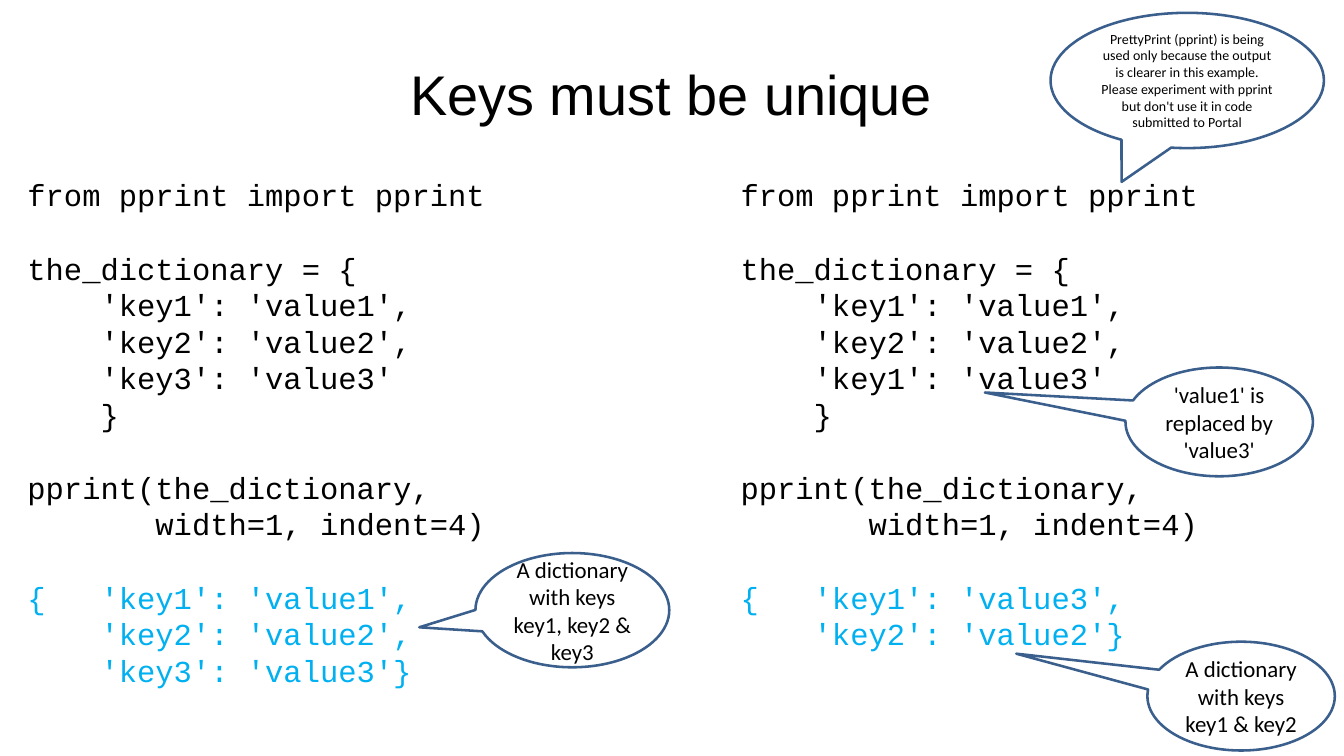
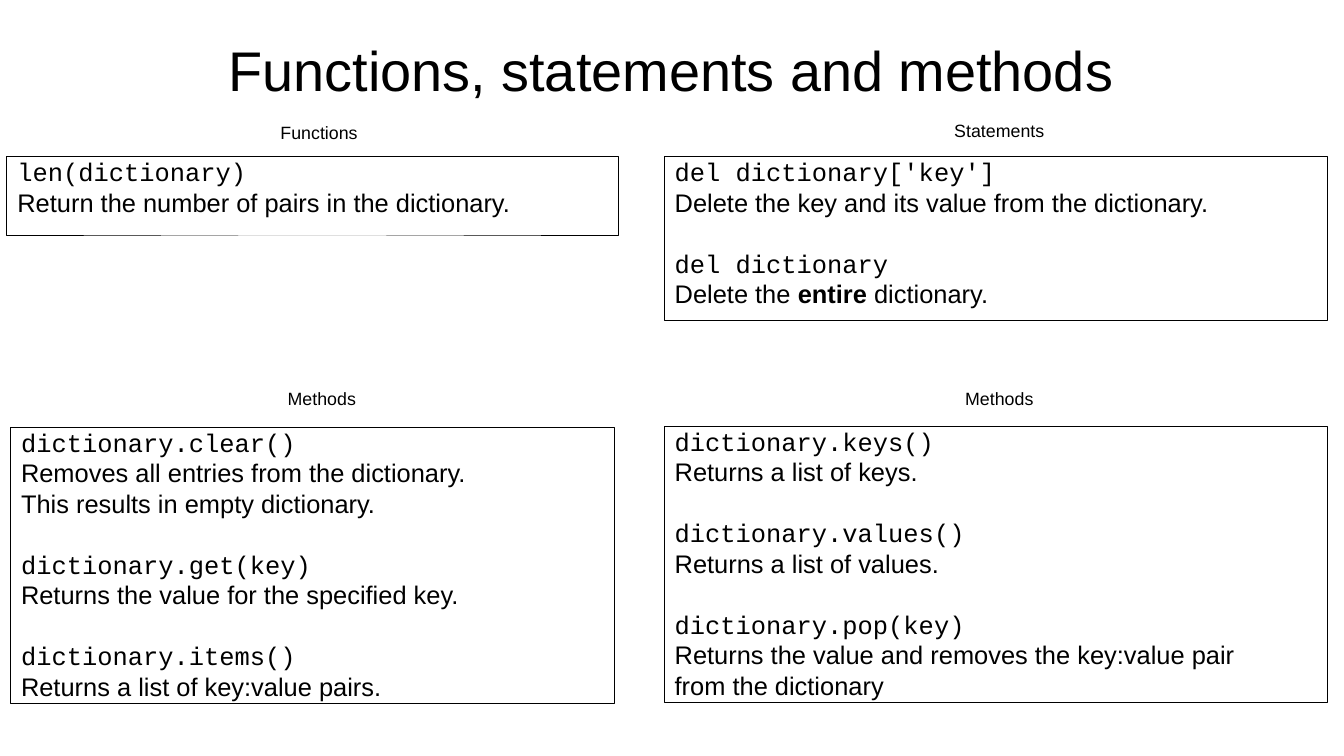
from pptx import Presentation
from pptx.dml.color import RGBColor
from pptx.enum.shapes import MSO_SHAPE
from pptx.enum.text import MSO_ANCHOR, PP_ALIGN
from pptx.util import Pt

PX = 9144
PAGE_WIDTH, PAGE_HEIGHT = 1470, 827
BLACK = RGBColor(0x00, 0x00, 0x00)
OUTPUT_BLUE = RGBColor(0x00, 0xB0, 0xF0)
CALLOUT_BLUE = RGBColor(0x3A, 0x5F, 0x8C)
RECTANGLE = MSO_SHAPE.RECTANGLE
BUBBLE = MSO_SHAPE.OVAL_CALLOUT
TOP, MIDDLE = MSO_ANCHOR.TOP, MSO_ANCHOR.MIDDLE
LEFT, CENTER = PP_ALIGN.LEFT, PP_ALIGN.CENTER
SANS, MONO, CALLOUT_FONT = "Arial", "Courier New", "Calibri"
TEXT_INDENT = 12
LINE_FACTOR = 1.2

CODE = """from pprint import pprint

the_dictionary = {{
    'key1': 'value1',
    'key2': 'value2',
    '{last_key}': 'value3'
    }}

pprint(the_dictionary,
       width=1, indent=4)"""

LISTINGS = [
    ((18, 193, 693, 574), "key3",
     ["{   'key1': 'value1',", "    'key2': 'value2',", "    'key3': 'value3'}"]),
    ((798, 193, 630, 575), "key1",
     ["{   'key1': 'value3',", "    'key2': 'value2'}"]),
]

CALLOUTS = [
    ((520, 605, 212, 125), (-0.79, 0.15), 18,
     ["A dictionary with keys", "key1, key2 & key3"]),
    ((1255, 702, 205, 119), (-1.2, -0.39), 18,
     ["A dictionary with keys", "key1 & key2"]),
    ((1149, 14, 299, 148), (-0.24, 0.75), 11,
     ["PrettyPrint (pprint) is being used only because the output is clearer in this example.",
      "Please experiment with pprint but don't use it in code submitted to Portal"]),
    ((1231, 402, 205, 119), (-1.25, -0.27), 18,
     ["'value1' is replaced by 'value3'"]),
]

PANELS = [
    ("Functions", (215, 130), (7, 171, 669, 86), [
        ("len(dictionary)", [["Return the number of pairs in the dictionary."]]),
    ]),
    ("Statements", (959, 128), (726, 171, 726, 179), [
        ("del dictionary['key']", [["Delete the key and its value from the dictionary."]]),
        ("del dictionary", [["Delete the ", ("entire", {"bold": True}), " dictionary."]]),
    ]),
    ("Methods", (218, 421), (11, 467, 661, 302), [
        ("dictionary.clear()", [["Removes all entries from the dictionary."],
                                ["This results in empty dictionary."]]),
        ("dictionary.get(key)", [["Returns the value for the specified key."]]),
        ("dictionary.items()", [["Returns a list of key:value pairs."]]),
    ]),
    ("Methods", (959, 421), (726, 466, 726, 302), [
        ("dictionary.keys()", [["Returns a list of keys."]]),
        ("dictionary.values()", [["Returns a list of values."]]),
        ("dictionary.pop(key)", [["Returns the value and removes the key:value pair", "\n",
                                  "from the dictionary"]]),
    ]),
]


def emu(lengths):
    return [length * PX for length in lengths]


def set_attributes(target, values):
    for name, value in values.items():
        setattr(target, name, value)


def prepare_frame(shape, anchor, insets=(0, 0)):
    frame = shape.text_frame
    across, down = emu(insets)
    set_attributes(frame, {
        "word_wrap": True, "vertical_anchor": anchor,
        "margin_left": across, "margin_right": across,
        "margin_top": down, "margin_bottom": down,
    })
    return frame


def add_para(frame, first, spans, font, size, align=LEFT, color=BLACK):
    para = frame.paragraphs[0] if first else frame.add_paragraph()
    para.alignment = align
    for item in spans:
        if item == "\n":
            para.add_line_break()
            continue
        text, extra = (item, {}) if isinstance(item, str) else item
        span = para.add_run()
        span.text = text
        set_attributes(span.font, {"name": font, "size": Pt(size), "bold": False, **extra})
        span.font.color.rgb = color
    return para


def add_left_para(frame, first, spans, font, size, gap=False, color=BLACK):
    para = add_para(frame, first, spans, font, size, color=color)
    pitch = Pt(size * LINE_FACTOR)
    set_attributes(para, {"line_spacing": pitch, "space_before": pitch if gap else Pt(0)})
    para._p.get_or_add_pPr().set("marL", str(TEXT_INDENT * PX))


def add_outline(page, kind, box, color, width):
    shape = page.shapes.add_shape(kind, *emu(box))
    shape.shadow.inherit = False
    shape.fill.background()
    shape.line.color.rgb = color
    shape.line.width = Pt(width)
    return shape


def add_heading(page, box, text, size):
    frame = prepare_frame(page.shapes.add_textbox(*emu(box)), MIDDLE)
    add_para(frame, True, [text], SANS, size, CENTER)


def add_page(deck, title, title_height):
    page = deck.slides.add_slide(deck.slide_layouts[6])
    add_heading(page, (73, 33, 1323, title_height), title, 44)
    return page


def add_listing(page, box, last_key, output):
    frame = prepare_frame(page.shapes.add_textbox(*emu(box)), TOP)
    code = CODE.format(last_key=last_key).split("\n")
    lines = [(line, BLACK) for line in code + [""]] + [(line, OUTPUT_BLUE) for line in output]
    gap = False
    for index, (line, color) in enumerate(lines):
        if line:
            add_left_para(frame, index == 0, [line], MONO, 24, gap, color)
        gap = not line


def add_callout(page, box, tip, size, lines):
    bubble = add_outline(page, BUBBLE, box, CALLOUT_BLUE, 2)
    for index, offset in enumerate(tip):
        bubble.adjustments[index] = offset
    frame = prepare_frame(bubble, MIDDLE, (10, 5))
    for index, line in enumerate(lines):
        add_para(frame, index == 0, [line], CALLOUT_FONT, size, CENTER)


def add_panel(page, heading, heading_place, box, entries):
    add_heading(page, (*heading_place, 268, 30), heading, 14)
    frame = prepare_frame(add_outline(page, RECTANGLE, box, BLACK, 0.25), TOP)
    for index, (call, descriptions) in enumerate(entries):
        add_left_para(frame, index == 0, [call], MONO, 20, index > 0)
        for spans in descriptions:
            add_left_para(frame, False, spans, SANS, 20)


def build_unique_keys(deck):
    page = add_page(deck, "Keys must be unique", 138)
    for listing in LISTINGS:
        add_listing(page, *listing)
    for callout in CALLOUTS:
        add_callout(page, *callout)


def build_reference(deck):
    page = add_page(deck, "Functions, statements and methods", 86)
    for panel in PANELS:
        add_panel(page, *panel)


def main():
    deck = Presentation()
    deck.slide_width, deck.slide_height = emu((PAGE_WIDTH, PAGE_HEIGHT))
    build_unique_keys(deck)
    build_reference(deck)
    deck.save("out.pptx")


if __name__ == "__main__":
    main()
